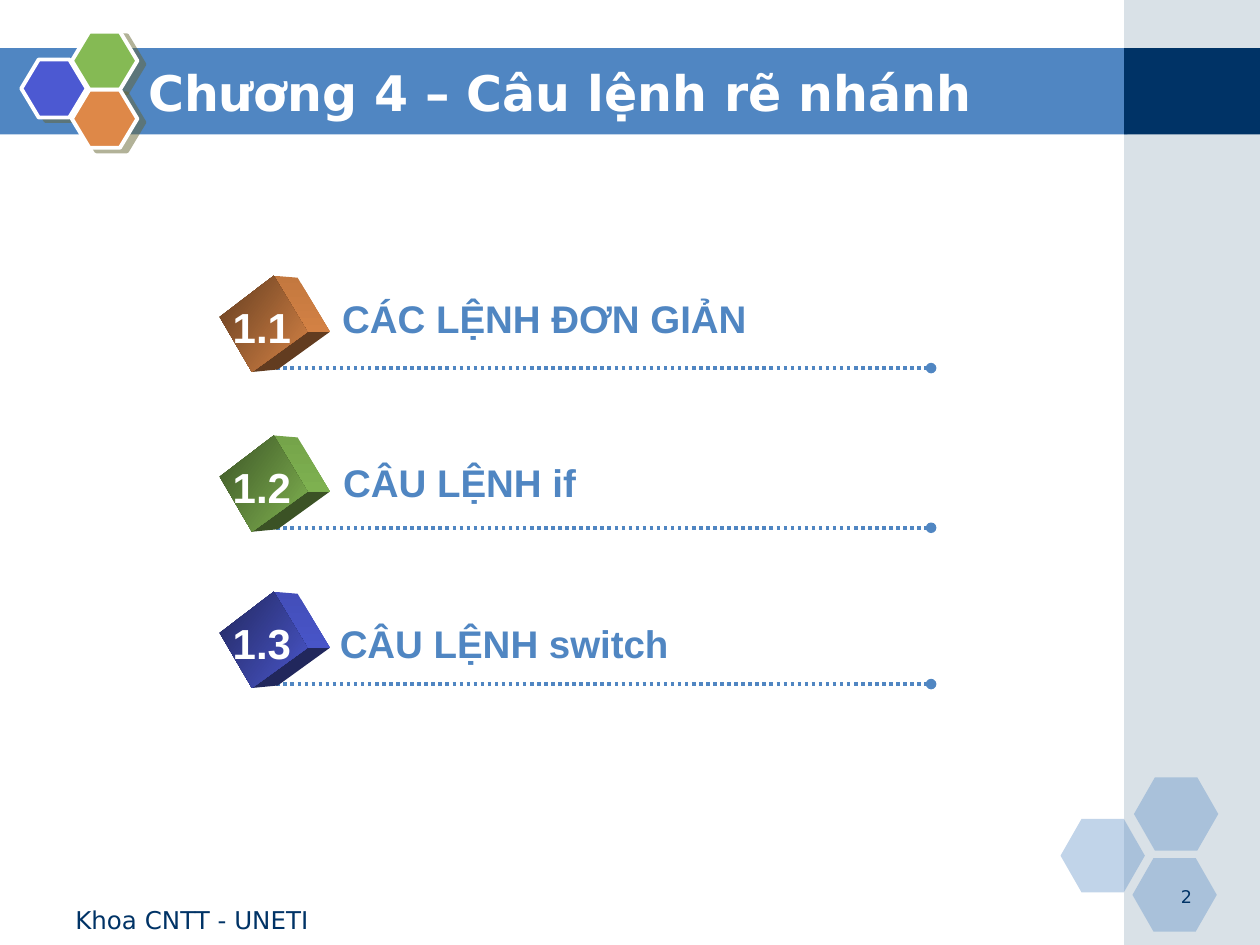
import pptx
import pptx.util
import pptx.dml.color
import pptx.enum.dml
import pptx.enum.shapes
import pptx.enum.text
import pptx.oxml
from pptx.oxml.ns import nsdecls, qn

Cm = pptx.util.Cm
SHAPES = pptx.enum.shapes.MSO_SHAPE
ALIGN = pptx.enum.text.PP_ALIGN
ANCHOR = pptx.enum.text.MSO_ANCHOR
BLUE, NAVY, WHITE = "5086C2", "003366", "FFFFFF"
ORANGE, GREEN, INDIGO = "DE8848", "85BA54", "4C59D2"


def color(value):
    return pptx.dml.color.RGBColor.from_string(value)


def shade(value, factor):
    return "".join(f"{round(int(value[i:i + 2], 16) * factor):02X}" for i in (0, 2, 4))


def paint(shape, fill, alpha=None):
    shape.shadow.inherit = False
    shape.line.fill.background()
    shape.fill.solid()
    shape.fill.fore_color.rgb = color(fill)
    if alpha is not None:
        target = shape.fill._xPr.find(qn("a:solidFill"))[0]
        target.append(pptx.oxml.parse_xml(f'<a:alpha {nsdecls("a")} val="{alpha * 1000}"/>'))


def paint_gradient(shape, start, end, angle):
    paint(shape, start)
    shape.fill.gradient()
    shape.fill.gradient_angle = angle
    for stop, value in zip(shape.fill.gradient_stops, (start, end)):
        stop.color.rgb = color(value)


def add_block(slide, kind, left, top, width, height, fill, alpha=None):
    shape = slide.shapes.add_shape(kind, Cm(left), Cm(top), Cm(width), Cm(height))
    paint(shape, fill, alpha)
    return shape


def add_text(slide, text, left, top, width, height, size=14, font="Arial", fill=BLUE,
             bold=False, align=ALIGN.LEFT, anchor=ANCHOR.TOP, wrap=True):
    shape = slide.shapes.add_textbox(Cm(left), Cm(top), Cm(width), Cm(height))
    frame = shape.text_frame
    frame.word_wrap = wrap
    frame.vertical_anchor = anchor
    paragraph = frame.paragraphs[0]
    paragraph.alignment = align
    run = paragraph.add_run()
    run.text = text
    run.font.size = pptx.util.Pt(size)
    run.font.name = font
    run.font.bold = bold
    run.font.color.rgb = color(fill)
    return shape


def add_face(slide, left, top, points):
    corners = [(Cm(left + x), Cm(top + y)) for x, y in points]
    builder = slide.shapes.build_freeform(*corners[0], scale=1.0)
    builder.add_line_segments(corners[1:], close=True)
    return builder.convert_to_shape()


def add_cube(slide, left, top, fill):
    # Corners of the three visible faces
    west, north, middle, south = (0, 0.83), (1.09, 0), (1.77, 1.13), (0.65, 1.94)
    north_back, east, south_back = (1.57, 0.04), (2.22, 1.13), (1.17, 1.89)
    paint(add_face(slide, left, top, [south, middle, east, south_back]), shade(fill, 0.44))
    paint_gradient(add_face(slide, left, top, [north, north_back, east, middle]),
                   shade(fill, 0.88), shade(fill, 0.95), 270)
    paint_gradient(add_face(slide, left, top, [west, north, middle, south]),
                   shade(fill, 0.45), shade(fill, 0.97), 325)


def add_dotted_line(slide, left, right, y):
    line = slide.shapes.add_connector(
        pptx.enum.shapes.MSO_CONNECTOR.STRAIGHT, Cm(left), Cm(y), Cm(right), Cm(y))
    line.line.color.rgb = color(BLUE)
    line.line.width = pptx.util.Pt(2)
    line.line.dash_style = pptx.enum.dml.MSO_LINE.ROUND_DOT
    line.line._get_or_add_ln().append(
        pptx.oxml.parse_xml(f'<a:tailEnd {nsdecls("a")} type="oval"/>'))
    line._element.spPr.append(pptx.oxml.parse_xml(f'<a:effectLst {nsdecls("a")}/>'))


def add_header(slide, top, height):
    # Blue band with the side panel crossing it
    add_block(slide, SHAPES.RECTANGLE, 0, top, 22.73, height, BLUE)
    add_block(slide, SHAPES.RECTANGLE, 22.66, 0, 2.74, 19.05, "A0B5C4", 40)
    add_block(slide, SHAPES.RECTANGLE, 22.66, top, 2.74, height, NAVY)


def add_emblem(slide, left, top):
    for x, y, fill in ((0, 0.56, INDIGO), (1.02, 0, GREEN), (1.02, 1.17, ORANGE)):
        hexagon = add_block(slide, SHAPES.HEXAGON, left + x, top + y, 1.32, 1.17, fill)
        hexagon.adjustments[0] = 0.3
        hexagon.line.color.rgb = color(WHITE)
        hexagon.line.width = pptx.util.Pt(2.25)
        hexagon._element.spPr.find(qn("a:effectLst")).append(pptx.oxml.parse_xml(
            f'<a:outerShdw {nsdecls("a")} dist="57150" dir="1620000" algn="ctr" '
            'rotWithShape="0"><a:srgbClr val="666633"><a:alpha val="50000"/>'
            '</a:srgbClr></a:outerShdw>'))


def add_corner_hexagons(slide, left, top):
    for x, y in ((0, 0.84), (1.48, 0), (1.45, 1.63)):
        hexagon = add_block(slide, SHAPES.HEXAGON, left + x, top + y, 1.7, 1.48, BLUE, 35)
        hexagon.adjustments[0] = 0.286


def add_agenda_row(slide, left, top, number, label, fill, label_x, label_y):
    add_dotted_line(slide, left + 1, left + 14.34, top + 1.86)
    add_cube(slide, left, top, fill)
    add_text(slide, number, left, top + 0.39, 1.7, 1.27, size=24, fill=WHITE,
             bold=True, align=ALIGN.CENTER, wrap=False)
    add_text(slide, label, left + label_x, top + label_y, 11.3, 1.19, size=22, bold=True)


presentation = pptx.Presentation()
presentation.slide_width, presentation.slide_height = Cm(25.4), Cm(19.05)
slide = presentation.slides.add_slide(presentation.slide_layouts[6])

# Background and decoration
add_header(slide, 0.97, 1.74)
add_corner_hexagons(slide, 21.38, 15.67)
add_emblem(slide, 0.43, 0.64)

# Title
add_text(slide, "Chương 4 – Câu lệnh rẽ nhánh", 2.74, 1.07, 22.66, 1.57, size=28,
         font="DejaVu Sans", fill=WHITE, bold=True, anchor=ANCHOR.MIDDLE)

# Agenda
agenda = (
    (5.56, "1.1", "CÁC LỆNH ĐƠN GIẢN", ORANGE, 2.22, 0.26),
    (8.78, "1.2", "CÂU LỆNH if", GREEN, 2.24, 0.34),
    (11.93, "1.3", "CÂU LỆNH switch", INDIGO, 2.17, 0.44),
)
for row_top, *row in agenda:
    add_agenda_row(slide, 4.43, row_top, *row)

# Footer
add_text(slide, "Khoa CNTT - UNETI", 1.27, 18.11, 5.92, 0.69, font="DejaVu Sans", fill=NAVY)
add_text(slide, "2", 23.01, 17.73, 1.27, 0.64, size=10, font="DejaVu Sans", fill=NAVY,
         align=ALIGN.RIGHT)

presentation.save("out.pptx")
